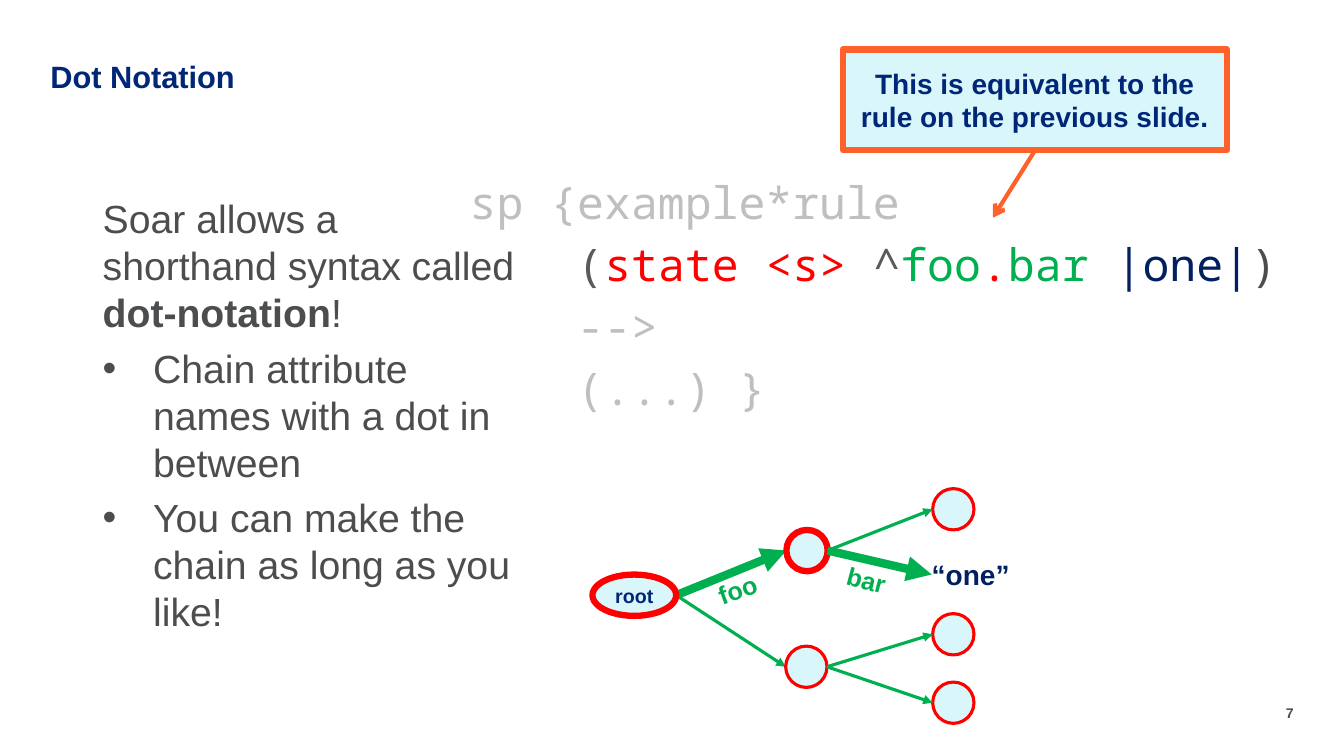
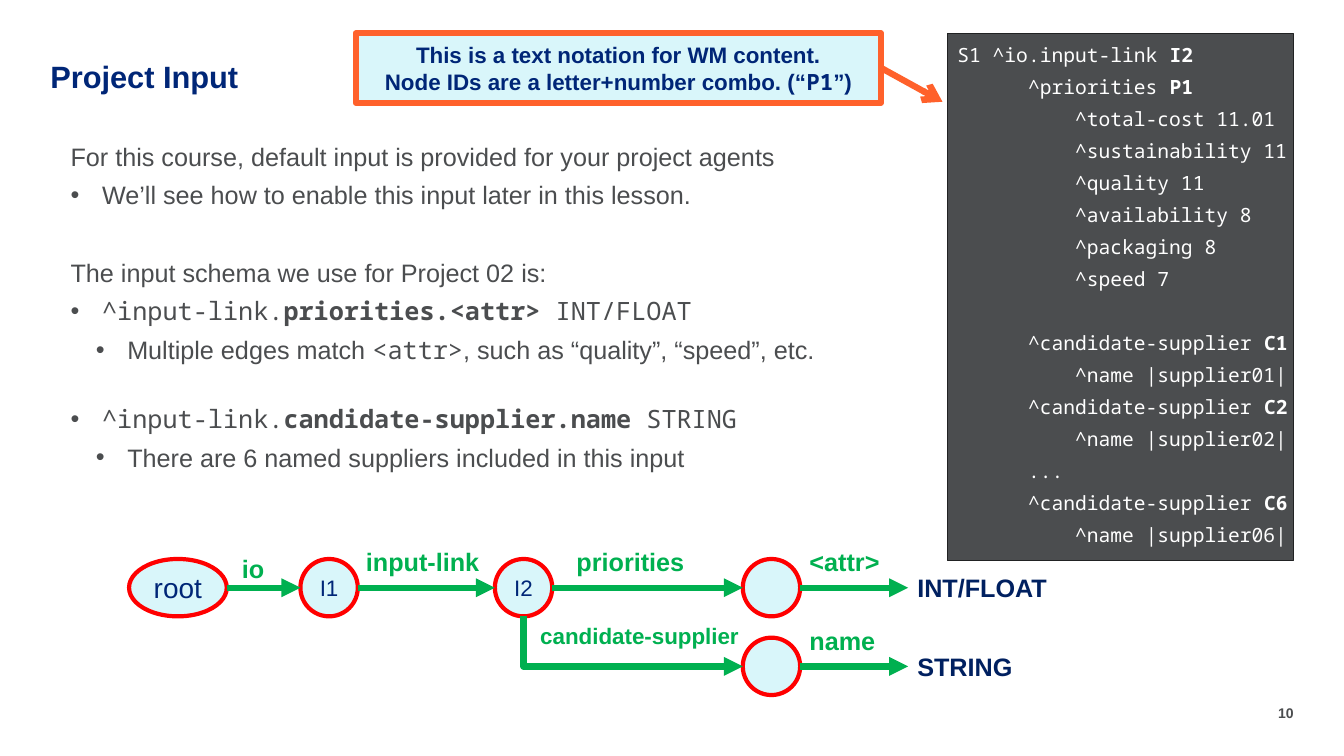
from pptx import Presentation
from pptx.dml.color import RGBColor
from pptx.enum.shapes import MSO_CONNECTOR, MSO_SHAPE
from pptx.enum.text import MSO_ANCHOR, MSO_AUTO_SIZE, PP_ALIGN
from pptx.oxml.ns import qn
from pptx.util import Pt
from lxml.etree import SubElement

C = {
    "navy": "002677", "ink": "002060", "text": "4B4D4F", "pale": "D9F6FA",
    "orange": "FF612B", "red": "FF0000", "green": "00B050", "muted": "BFBFBF",
    "caret": "5A5A5A", "white": "FFFFFF", "edge": "212223",
}
SANS, MONO = "Arial", "Noto Sans Mono"
LEADING = 1.2


def rgb(name):
    return RGBColor.from_string(C[name])


# Text
def add_run(p, text, size=18, color="text", font=SANS, bold=False):
    r = p.add_run()
    r.text = text
    r.font.size, r.font.name, r.font.bold = Pt(size), font, bold
    r.font.color.rgb = rgb(color)


def add_par(tf, runs, size=18, before=6, left=0, hang=0, level=0,
            align=PP_ALIGN.LEFT, leading=LEADING, **fmt):
    """runs is a string, or a list of strings and (text, format) pairs."""
    first = not tf.paragraphs[0].runs
    p = tf.paragraphs[0] if first else tf.add_paragraph()
    p.level = level
    pPr = p._p.get_or_add_pPr()
    pPr.set("marL", str(Pt(left)))
    pPr.set("indent", str(Pt(-hang)))
    if hang:
        SubElement(pPr, qn("a:buFont")).set("typeface", SANS)
        SubElement(pPr, qn("a:buChar")).set("char", "•")
    else:
        SubElement(pPr, qn("a:buNone"))
    p.alignment = align
    p.line_spacing = Pt(round(size * leading, 1))
    p.space_before = Pt(0 if first else before)
    p.space_after = Pt(0)
    for run in [runs] if isinstance(runs, str) else runs:
        text, own = (run, {}) if isinstance(run, str) else run
        add_run(p, text, **{"size": size, **fmt, **own})


def set_frame(tf, insets=(0, 0, 0, 0), anchor=MSO_ANCHOR.TOP, wrap=True):
    tf.auto_size = MSO_AUTO_SIZE.NONE
    tf.word_wrap = wrap
    tf.vertical_anchor = anchor
    tf.margin_left, tf.margin_top, tf.margin_right, tf.margin_bottom = map(Pt, insets)
    return tf


def place(sp, x, y, w, h):
    sp.left, sp.top, sp.width, sp.height = Pt(x), Pt(y), Pt(w), Pt(h)


def text_box(s, x, y, w, h, wrap=True):
    sp = s.shapes.add_textbox(Pt(x), Pt(y), Pt(w), Pt(h))
    set_frame(sp.text_frame, wrap=wrap)
    return sp


def label(s, text, x, y, w=110, h=21.6, angle=0, size=18, color="green"):
    sp = text_box(s, x, y, w, h, wrap=not angle)
    sp.rotation = angle
    add_par(sp.text_frame, text, size, color=color, bold=True)


# Shapes and lines
def add_box(s, kind, box, fill, line, weight):
    sp = s.shapes.add_shape(kind, *map(Pt, box))
    sp.shadow.inherit = False
    sp.fill.solid()
    sp.fill.fore_color.rgb = rgb(fill)
    sp.line.color.rgb = rgb(line)
    sp.line.width = Pt(weight)
    return sp


def arrow(s, start, end, color="green", weight=4.5, head="triangle"):
    c = s.shapes.add_connector(MSO_CONNECTOR.STRAIGHT, *map(Pt, (*start, *end)))
    c.line.color.rgb = rgb(color)
    c.line.width = Pt(weight)
    SubElement(c.line._get_or_add_ln(), qn("a:tailEnd")).set("type", head)
    SubElement(c._element.spPr, qn("a:effectLst"))
    return c


def elbow_arrow(s, start, end):
    """Runs down from start, then right to end."""
    (x1, y1), (x2, y2) = start, end
    w, h = y2 - y1, x2 - x1
    x, y = (x1 + x2 - w) / 2, (y1 + y2 - h) / 2
    spPr = arrow(s, (x, y), (x + w, y + h))._element.spPr
    xfrm = spPr.find(qn("a:xfrm"))
    xfrm.set("rot", "16200000")
    xfrm.set("flipH", "1")
    spPr.find(qn("a:prstGeom")).set("prst", "bentConnector2")


def node(s, x, y, w, h, weight, text="", size=14, bold=False, pad=0):
    sp = add_box(s, MSO_SHAPE.OVAL, (x, y, w, h), "pale", "red", weight)
    if text:
        tf = set_frame(sp.text_frame, (pad, 0, pad, 0), MSO_ANCHOR.MIDDLE)
        add_par(tf, text, size, align=PP_ALIGN.CENTER, color="navy", bold=bold)


def callout(s, box, lines, size, start, end, weight):
    sp = add_box(s, MSO_SHAPE.RECTANGLE, box, "pale", "orange", 4.5)
    tf = set_frame(sp.text_frame, (7.2, 3.6, 7.2, 3.6), MSO_ANCHOR.MIDDLE)
    for line in lines:
        add_par(tf, line, size, before=0, align=PP_ALIGN.CENTER,
                color="navy", bold=True)
    arrow(s, start, end, "orange", weight, "arrow")


# Title, body and slide number
def new_slide(prs, title, number, title_w, body_box):
    s = prs.slides.add_slide(prs.slide_layouts[1])
    place(s.shapes.title, 36, 44, title_w, 23.8)
    add_par(set_frame(s.shapes.title.text_frame), title, 22, leading=1.08,
            color="navy", bold=True)
    body = s.placeholders[1]
    place(body, *body_box)
    num = text_box(s, 880, 503.3, 44, 12)
    add_par(num.text_frame, number, 10, align=PP_ALIGN.RIGHT, bold=True)
    return s, set_frame(body.text_frame)


# Tree with the foo.bar branch in bold
def foo_bar_tree(s, x, y):
    d, mid = 29.5, 14.75
    root_w, root_y = 59.8, 61.4
    thin, bold_node, bold_edge = 2.25, 4.5, 6
    foo, low = (138.5, 29.5), (138, 112.5)
    leaves = [(foo, (243, 0)), (low, (243, 89.3)), (low, (243, 138.2))]

    def edge(start, end, weight=thin, start_w=d):
        arrow(s, (x + start[0] + start_w, y + start[1] + mid),
              (x + end[0], y + end[1] + mid), weight=weight)

    edge((0, root_y), foo, bold_edge, root_w)
    edge((0, root_y), low, thin, root_w)
    node(s, x + foo[0], y + foo[1], d, d, bold_node)
    node(s, x + low[0], y + low[1], d, d, thin)
    for parent, leaf in leaves:
        node(s, x + leaf[0], y + leaf[1], d, d, thin)
        edge(parent, leaf)
    edge(foo, (242.3, 46.6), bold_edge)
    node(s, x, y + root_y, root_w, d, bold_node, "root", bold=True, pad=7.2)
    label(s, "foo", x + 89.6, y + 61.4, 28, angle=340)
    label(s, "bar", x + 181.8, y + 54.2, 28, angle=15)
    label(s, "“one”", x + 242.3, y + 49.2, 60, 24, size=20, color="ink")


# Input schema chain with its two branches
def schema_chain(s, x, y):
    d, mid, row2 = 41, 20.5, 56.2
    root_w = 69.8
    i1, i2, last, out = 122.4, 261.3, 438.4, 556.5
    for left, top, text in [(i1, 0, "I1"), (i2, 0, "I2"), (last, 0, ""), (last, row2, "")]:
        node(s, x + left, y + top, d, d, 3, text, 16)
    node(s, x, y, root_w, d, 3, "root", 20, pad=7.2)
    for start, end, top in [(root_w, i1, 0), (i1 + d, i2, 0), (i2 + d, last, 0),
                            (last + d, out, 0), (last + d, out, row2)]:
        arrow(s, (x + start, y + top + mid), (x + end, y + top + mid))
    elbow_arrow(s, (x + i2 + mid, y + d), (x + last, y + row2 + mid))
    for text, left, top in [("io", 80.6, -4), ("input-link", 169.2, -9),
                            ("priorities", 319.6, -9), ("<attr>", 486, -9),
                            ("name", 486, 47.2)]:
        label(s, text, x + left, y + top)
    label(s, "candidate-supplier", x + 293.7, y + 45, 144, 19.2, size=16)
    for text, top in [("INT/FLOAT", 9.8), ("STRING", 66)]:
        label(s, text, x + 563, y + top, color="ink")


# Working memory listing
def memory_panel(s, box):
    sp = add_box(s, MSO_SHAPE.RECTANGLE, box, "text", "edge", 1)
    tf = set_frame(sp.text_frame, (7.2, 7.2, 0, 7.2))
    pad, deep = " " * 6, " " * 10
    supplier = pad + "^candidate-supplier "
    lines = [
        ("S1 ^io.input-link ", "I2"), (pad + "^priorities ", "P1"),
        *[(deep + t, "") for t in ("^total-cost 11.01", "^sustainability 11",
                                   "^quality 11", "^availability 8",
                                   "^packaging 8", "^speed 7")],
        (supplier, "C1"), (deep + "^name |supplier01|", ""),
        (supplier, "C2"), (deep + "^name |supplier02|", ""),
        (pad + "...", ""),
        (supplier, "C6"), (deep + "^name |supplier06|", ""),
    ]
    for text, ident in lines:
        runs = [text, (ident, {"bold": True})] if ident else text
        add_par(tf, runs, 14, before=28.8 if ident == "C1" else 6,
                color="white", font=MONO)


def rule_code(s, x, y, w, h):
    tf = text_box(s, x, y, w, h).text_frame
    rule = [("    (", "caret"), ("state <s> ", "red"), ("^", "caret"),
            ("foo", "green"), (".", "red"), ("bar ", "green"),
            ("|one|", "ink"), (")", "text")]
    for runs in ["sp {example*rule", [(t, {"color": c}) for t, c in rule],
                 "    -->", "    (...) }"]:
        add_par(tf, runs, 32, color="muted", font=MONO)


# Slides
def dot_notation(prs):
    s, tf = new_slide(prs, "Dot Notation", "7", 292, (73.4, 139, 299.5, 326))
    add_par(tf, ["Soar allows a shorthand syntax called ",
                 ("dot-notation", {"bold": True}), "!"], 28)
    for text in ("Chain attribute names with a dot in between",
                 "You can make the chain as long as you like!"):
        add_par(tf, text, 28, left=36, hang=36)
    rule_code(s, 335.5, 124.5, 580, 227)
    foo_bar_tree(s, 423.2, 349)
    callout(s, (602, 35.3, 274.3, 72),
            ["This is equivalent to the rule on the previous slide."],
            20, (739.4, 107.3), (709.2, 155.5), 3)


def project_input(prs):
    s, tf = new_slide(prs, "Project Input", "10", 756, (50.4, 100.8, 591, 273))
    mono, strong = {"font": MONO}, {"font": MONO, "bold": True}
    top = {"left": 22.5, "hang": 22.5}
    sub = {"left": 40.5, "hang": 22.5, "level": 1}
    for runs, fmt in [
        ("For this course, default input is provided for your project agents", {}),
        ("We’ll see how to enable this input later in this lesson.", top),
        ("The input schema we use for Project 02 is:", {"before": 33.6}),
        ([("^input-link.", mono), ("priorities.<attr> ", strong),
          ("INT/FLOAT", mono)], top),
        (["Multiple edges match ", ("<attr>", mono),
          ", such as “quality”, “speed”, etc."], sub),
        ([("^input-link.", mono), ("candidate-supplier.name ", strong),
          ("STRING", mono)], {**top, "before": 27.6}),
        ("There are 6 named suppliers included in this input", sub),
    ]:
        add_par(tf, runs, **fmt)
    memory_panel(s, (676.8, 23.8, 247, 376.6))
    schema_chain(s, 92.2, 399.3)
    callout(s, (254.2, 23.8, 375, 49.7),
            ["This is a text notation for WM content.",
             ["Node IDs are a letter+number combo. (“", ("P1", mono), "”)"]],
            16, (629.3, 48.5), (673.2, 72.7), 4.5)


def main():
    prs = Presentation()
    prs.slide_width, prs.slide_height = Pt(960), Pt(540)
    dot_notation(prs)
    project_input(prs)
    prs.save("out.pptx")


if __name__ == "__main__":
    main()
